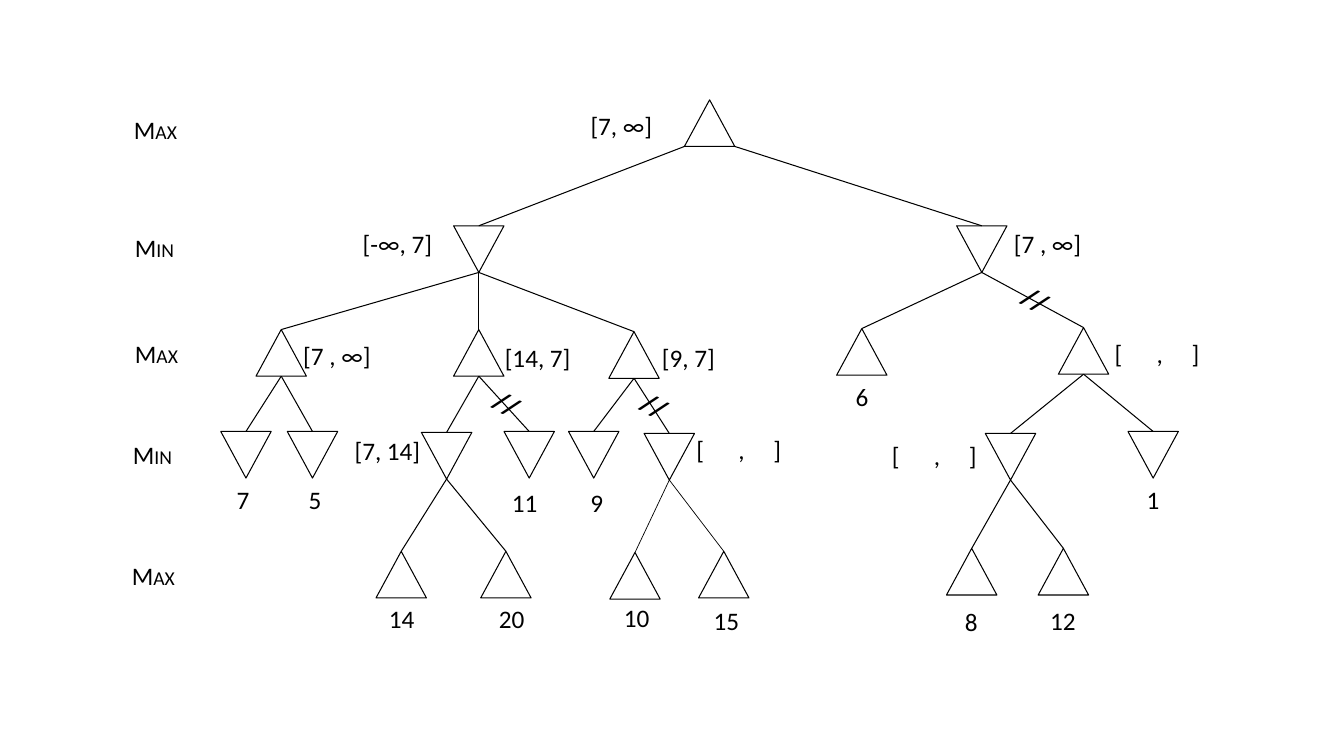
from dataclasses import dataclass

from lxml import etree
from pptx import Presentation
from pptx.dml.color import RGBColor
from pptx.enum import shapes, text
from pptx.oxml import ns
from pptx.shapes.autoshape import Shape
from pptx.slide import Slide
from pptx.util import Pt

BLACK = RGBColor(0, 0, 0)
FONT = "Calibri"
TRIANGLE_WIDTH, TRIANGLE_HEIGHT = 36, 33.3
LABEL_HEIGHT = 29
SLASH_WIDTH, SLASH_HEIGHT, SLASH_SHIFT = 32.4, 31.7, 2.5
UNKNOWN = "[\t,\t]"
UNKNOWN_WIDTH = 76
UNKNOWN_TABS = (30, 55)


@dataclass
class Label:
    content: str
    left: float
    top: float
    width: float


@dataclass
class Value:
    content: str
    center: float
    top: float


@dataclass
class Node:
    x: float
    top: float
    interval: Label | None = None
    value: Value | None = None
    children: tuple["Node", ...] = ()
    pruned: bool = False
    edge_width: float = 0.75

    @property
    def bottom(self) -> float:
        return self.top + TRIANGLE_HEIGHT


LEVELS = (
    Label("MAX", 88.6, 77.8, 45.4),
    Label("MIN", 89.3, 162.7, 44),
    Label("MAX", 89.3, 238.3, 45.4),
    Label("MIN", 87.8, 310.3, 44),
    Label("MAX", 87.1, 396.7, 45.4),
)

LEFT_BRANCH = Node(342, 161.3, Label("[-∞, 7]", 252, 159.8, 64.8), children=(
    Node(200.9, 235.4, Label("[7 , ∞]", 209.5, 239.8, 63.4), children=(
        Node(175.7, 308.2, value=Value("7", 173.9, 342.7)),
        Node(223.2, 308.2, value=Value("5", 225.4, 342.7)),
    )),
    Node(342, 235.4, Label("[14, 7]", 353.5, 241.2, 61.9), children=(
        Node(319, 308.9, Label("[7, 14]", 246.2, 307.4, 61.9), children=(
            Node(286.6, 393.8, value=Value("14", 287.3, 427.7)),
            Node(361.4, 393.8, value=Value("20", 365.8, 427.7)),
        )),
        Node(378, 308.2, value=Value("11", 375.1, 344.2), pruned=True),
    )),
    Node(452.9, 236.9, Label("[9, 7]", 465.8, 241.2, 52.6), children=(
        Node(424.1, 308.2, value=Value("9", 426.6, 344.2)),
        Node(478.1, 309.6, Label(UNKNOWN, 490.3, 306.7, UNKNOWN_WIDTH), pruned=True, children=(
            Node(453.6, 394.6, value=Value("10", 455, 427), edge_width=0.5),
            Node(517, 393.8, value=Value("15", 519.1, 429.1), edge_width=0.5),
        )),
    )),
))

RIGHT_BRANCH = Node(701.3, 161.3, Label("[7 , ∞]", 717.1, 159.8, 63.4), children=(
    Node(615.6, 234.7, value=Value("6", 616, 268.6)),
    Node(774, 234, Label(UNKNOWN, 789.1, 238.3, UNKNOWN_WIDTH), pruned=True, children=(
        Node(721.8, 309.6, Label(UNKNOWN, 630, 311, UNKNOWN_WIDTH), children=(
            Node(694.1, 391.7, value=Value("8", 694.1, 429.8)),
            Node(759.6, 391.7, value=Value("12", 759.6, 429.1)),
        )),
        Node(823.7, 308.2, value=Value("1", 824, 342.7)),
    )),
))

ROOT = Node(506.9, 71.3, Label("[7, ∞]", 414.7, 74.9, 59),
            children=(LEFT_BRANCH, RIGHT_BRANCH))


def format_run(run, size: float, bold: bool = False) -> None:
    run.font.name = FONT
    run.font.size = Pt(size)
    run.font.bold = bold
    run.font.color.rgb = BLACK


def add_label(slide: Slide, label: Label, height: float = LABEL_HEIGHT,
              size: float = 18, bold: bool = False, wrap: bool = False) -> Shape:
    box = slide.shapes.add_textbox(Pt(label.left), Pt(label.top), Pt(label.width), Pt(height))
    frame = box.text_frame
    frame.word_wrap = wrap
    frame.auto_size = text.MSO_AUTO_SIZE.SHAPE_TO_FIT_TEXT
    frame.text = label.content
    format_run(frame.paragraphs[0].runs[0], size, bold)
    return box


def add_level(slide: Slide, level: Label) -> None:
    """Write a player's name in small capitals."""
    initial = Label(level.content[0], level.left, level.top, level.width)
    paragraph = add_label(slide, initial).text_frame.paragraphs[0]
    small_capitals = paragraph.add_run()
    small_capitals.text = level.content[1:]
    format_run(small_capitals, 14)


def add_interval(slide: Slide, interval: Label) -> None:
    unknown = interval.content == UNKNOWN
    box = add_label(slide, interval, wrap=unknown)
    if unknown:
        properties = box.text_frame.paragraphs[0]._p.get_or_add_pPr()
        tabs = etree.SubElement(properties, ns.qn("a:tabLst"))
        for position in UNKNOWN_TABS:
            etree.SubElement(tabs, ns.qn("a:tab"), pos=str(Pt(position)), algn="l")


def add_value(slide: Slide, value: Value) -> None:
    width = 15 + 9 * len(value.content)
    add_label(slide, Label(value.content, value.center - width / 2, value.top, width))


def add_triangle(slide: Slide, node: Node, points_up: bool) -> None:
    triangle = slide.shapes.add_shape(
        shapes.MSO_SHAPE.ISOSCELES_TRIANGLE, Pt(node.x - TRIANGLE_WIDTH / 2), Pt(node.top),
        Pt(TRIANGLE_WIDTH), Pt(TRIANGLE_HEIGHT))
    triangle.rotation = 0 if points_up else 180
    triangle.shadow.inherit = False
    triangle.fill.background()
    triangle.line.color.rgb = BLACK
    triangle.line.width = Pt(0.75)


def add_edge(slide: Slide, start_x: float, start_y: float, child: Node) -> None:
    edge = slide.shapes.add_connector(
        shapes.MSO_CONNECTOR.STRAIGHT, Pt(start_x), Pt(start_y), Pt(child.x), Pt(child.top))
    edge.line.color.rgb = BLACK
    edge.line.width = Pt(child.edge_width)
    etree.SubElement(edge._element.spPr, ns.qn("a:effectLst"))
    if child.pruned:
        left = (start_x + child.x - SLASH_WIDTH) / 2 + SLASH_SHIFT
        top = (start_y + child.top - SLASH_HEIGHT) / 2
        slash = add_label(slide, Label("//", left, top, SLASH_WIDTH),
                          SLASH_HEIGHT, size=20, bold=True, wrap=True)
        slash.rotation = 31.2


def add_tree(slide: Slide, node: Node, depth: int = 0) -> None:
    """Draw a node and its descendants, turning the triangle at every level."""
    add_triangle(slide, node, points_up=depth % 2 == 0)
    if node.interval:
        add_interval(slide, node.interval)
    if node.value:
        add_value(slide, node.value)
    for child in node.children:
        start_x = node.x
        if depth == 0:
            start_x += TRIANGLE_WIDTH / 2 * (1 if child.x > node.x else -1)
        add_edge(slide, start_x, node.bottom, child)
        add_tree(slide, child, depth + 1)


def main() -> None:
    presentation = Presentation()
    presentation.slide_width, presentation.slide_height = Pt(960), Pt(540)
    slide = presentation.slides.add_slide(presentation.slide_layouts[6])
    for level in LEVELS:
        add_level(slide, level)
    add_tree(slide, ROOT)
    presentation.save("out.pptx")


if __name__ == "__main__":
    main()
